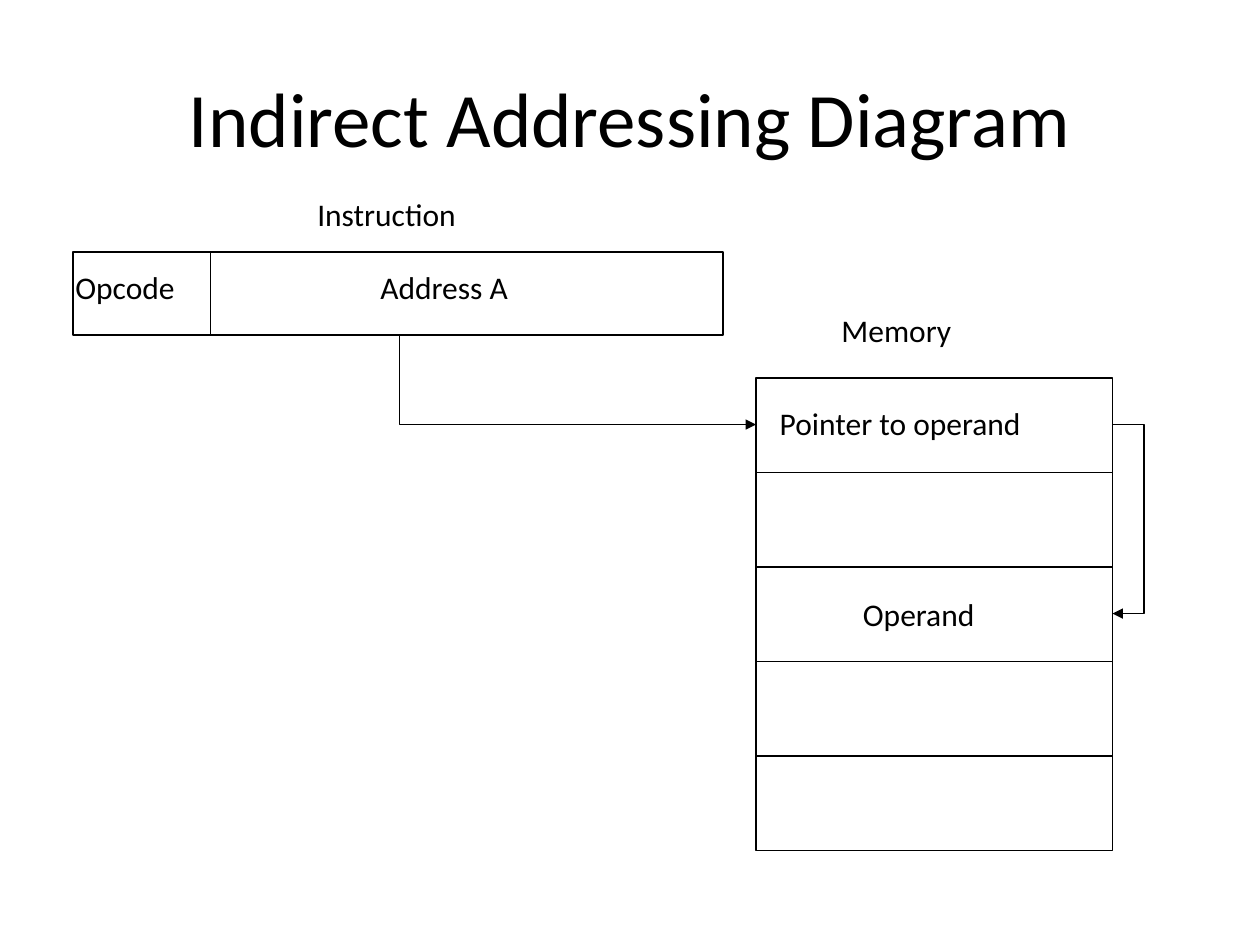
from lxml.etree import SubElement
from pptx import Presentation
from pptx.dml.color import RGBColor
from pptx.enum.shapes import MSO_CONNECTOR, MSO_SHAPE
from pptx.enum.text import MSO_ANCHOR, PP_ALIGN
from pptx.oxml.ns import qn
from pptx.util import Inches, Pt

BLACK = RGBColor(0, 0, 0)

prs = Presentation()
prs.slide_width, prs.slide_height = Inches(10), Inches(7.5)
s = prs.slides.add_slide(prs.slide_layouts[6])


def add_text(text, x, y, w, h=0.5, size=18):
    tf = s.shapes.add_textbox(Inches(x), Inches(y), Inches(w), Inches(h)).text_frame
    tf.word_wrap = True
    p = tf.paragraphs[0]
    p.text = text
    p.font.size, p.font.name = Pt(size), "Calibri"
    p.font.color.rgb = BLACK
    return tf


def outline(sp):
    sp.shadow.inherit = False
    sp.fill.background()
    sp.line.color.rgb = BLACK
    sp.line.width = Pt(1)


title = add_text("Indirect Addressing Diagram", 0.5, 0.3, 9, 1.25, 44)
title.vertical_anchor = MSO_ANCHOR.MIDDLE
title.paragraphs[0].alignment = PP_ALIGN.CENTER

memory_x, memory_y, memory_w, cell_h = 6, 3, 2.83, 0.75
boxes = [(0.58, 2, 5.16, 0.66)]
boxes += [(memory_x, memory_y + i * cell_h, memory_w, cell_h) for i in range(5)]
for box in boxes:
    outline(s.shapes.add_shape(MSO_SHAPE.RECTANGLE, *map(Inches, box)))

divider = s.shapes.add_connector(
    MSO_CONNECTOR.STRAIGHT, Inches(1.67), Inches(2), Inches(1.67), Inches(2.66))
divider.line.color.rgb = BLACK
divider.line.width = Pt(1)
SubElement(divider._element.spPr, qn("a:effectLst"))

for label in [
    ("Instruction", 2.42, 1.5, 1.64),
    ("Opcode", 0.5, 2.08, 1.23),
    ("Address A", 2.92, 2.08, 1.62),
    ("Memory", 6.58, 2.42, 1.35),
    ("Pointer to operand", 6.09, 3.16, 2.66),
    ("Operand", 6.75, 4.67, 1.35),
]:
    add_text(*label)

pointer_y = 3.37
operand_y = pointer_y + 2 * cell_h
memory_right = memory_x + memory_w
for route in [
    [(3.17, 2.66), (3.17, pointer_y), (memory_x, pointer_y)],
    [(memory_right, pointer_y), (9.08, pointer_y),
     (9.08, operand_y), (memory_right, operand_y)],
]:
    points = [(Inches(x), Inches(y)) for x, y in route]
    builder = s.shapes.build_freeform(*points[0])
    builder.add_line_segments(points[1:], close=False)
    arrow = builder.convert_to_shape()
    outline(arrow)
    SubElement(arrow.line._get_or_add_ln(), qn("a:tailEnd"), type="triangle")

prs.save("out.pptx")
